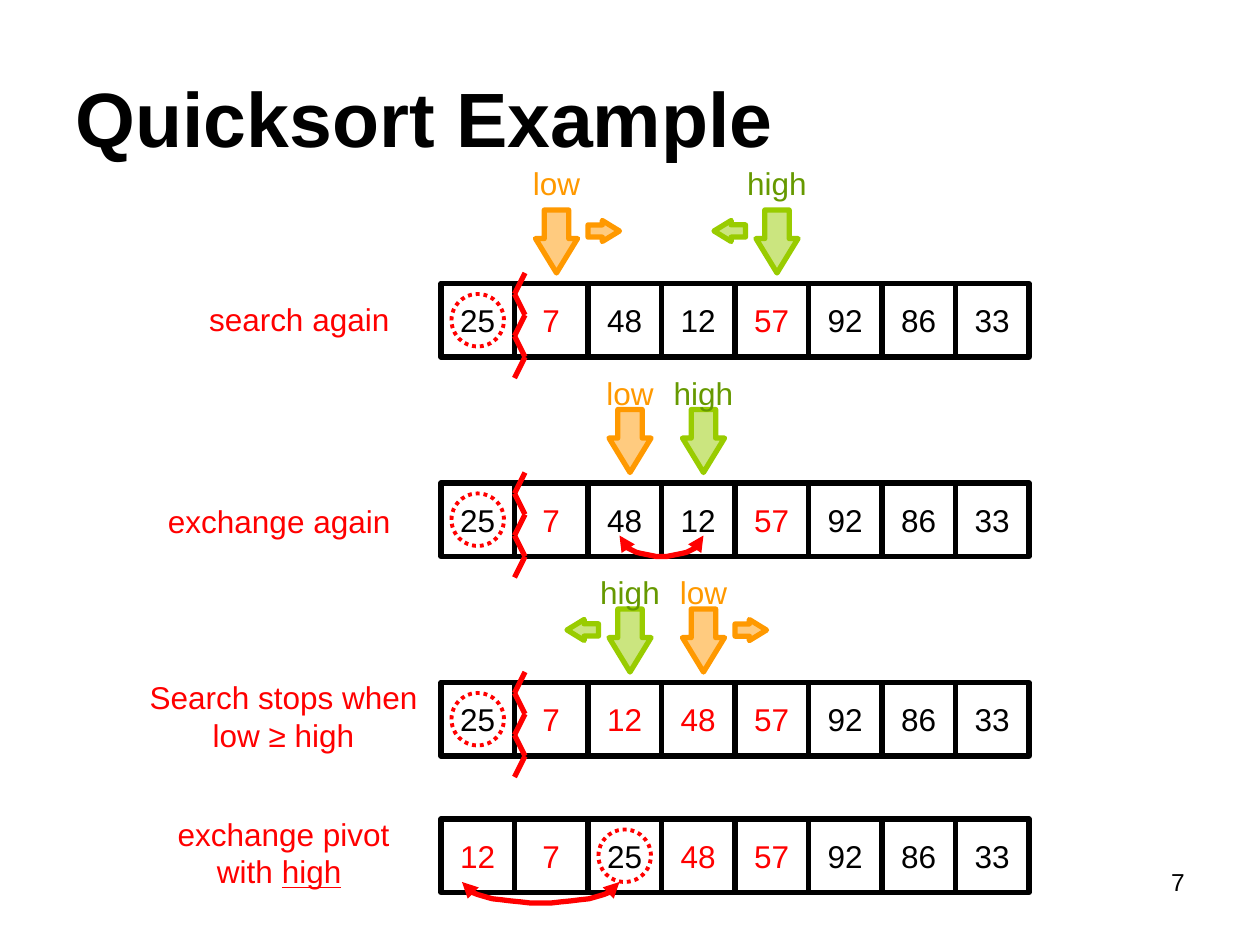
import math
from dataclasses import dataclass

from lxml import etree
from pptx import Presentation
from pptx import util as u
from pptx.dml.color import RGBColor
from pptx.enum import dml, shapes, text
from pptx.oxml.ns import qn

PX = 7620
CELL = 70
ARRAY_LEFT = 420


@dataclass(frozen=True)
class Theme:
    font: str = "Arial"
    ink: str = "000000"
    paper: str = "FFFFFF"
    accent: str = "FF0000"
    low: str = "FF9900"
    high: str = "99CC00"
    high_text: str = "669900"
    title_size: int = 44
    text_size: int = 18
    number_size: int = 14
    line: float = 3
    dotted_line: float = 2.25


THEME = Theme()


def px(*lengths):
    return [u.Emu(length * PX) for length in lengths]


def style_paragraph(paragraph, color, size=THEME.text_size, bold=False,
                    align=text.PP_ALIGN.CENTER):
    paragraph.alignment = align
    font = paragraph.font
    font.name, font.size, font.bold = THEME.font, u.Pt(size), bold
    font.color.rgb = RGBColor.from_string(color)


def style_line(shape, color, width=THEME.line):
    shape.line.color.rgb = RGBColor.from_string(color)
    shape.line.width = u.Pt(width)


def add_text(slide, box, runs, color, **style):
    frame = slide.shapes.add_textbox(*px(*box)).text_frame
    frame.word_wrap = True
    paragraph = frame.paragraphs[0]
    for words, underlined in runs:
        run = paragraph.add_run()
        run.text = words
        if underlined:
            run.font.underline = True
    style_paragraph(paragraph, color, **style)


def add_cell(slide, left, top, value, color):
    shape = slide.shapes.add_shape(shapes.MSO_SHAPE.RECTANGLE, *px(left, top, CELL, CELL))
    shape.shadow.inherit = False
    shape.fill.solid()
    shape.fill.fore_color.rgb = RGBColor.from_string(THEME.paper)
    style_line(shape, THEME.ink)
    frame = shape.text_frame
    frame.word_wrap = False
    frame.vertical_anchor = text.MSO_ANCHOR.MIDDLE
    frame.text = str(value)
    style_paragraph(frame.paragraphs[0], color)


def add_pivot_ring(slide, left, top):
    ring = slide.shapes.add_shape(shapes.MSO_SHAPE.OVAL, *px(left + 10, top + 10, 50, 50))
    ring.shadow.inherit = False
    ring.fill.background()
    style_line(ring, THEME.accent, THEME.dotted_line)
    ring.line.dash_style = dml.MSO_LINE.ROUND_DOT


def add_zigzag(slide, left, top):
    group = slide.shapes.add_group_shape()
    points = [(left + 10 * ((step + 1) % 2), top + 20 * step) for step in range(6)]
    for start, end in zip(points, points[1:]):
        stroke = group.shapes.add_connector(shapes.MSO_CONNECTOR.STRAIGHT, *px(*start, *end))
        style_line(stroke, THEME.accent)
        etree.SubElement(stroke._element.spPr, qn("a:effectLst"))


def add_array(slide, top, values, red, pivot, divided):
    for index, value in enumerate(values):
        color = THEME.accent if value in red else THEME.ink
        add_cell(slide, ARRAY_LEFT + index * CELL, top, value, color)
    add_pivot_ring(slide, ARRAY_LEFT + pivot * CELL, top)
    if divided:
        add_zigzag(slide, ARRAY_LEFT + CELL, top - 10)


def add_block_arrow(slide, box, color, rotation):
    arrow = slide.shapes.add_shape(shapes.MSO_SHAPE.LEFT_ARROW, *px(*box))
    arrow.rotation = rotation
    arrow.adjustments[0], arrow.adjustments[1] = 0.58, 0.82
    arrow.shadow.inherit = False
    arrow.fill.solid()
    arrow.fill.fore_color.rgb = RGBColor.from_string(color)
    solid = arrow._element.spPr.find(qn("a:solidFill"))
    etree.SubElement(solid[0], qn("a:alpha"), val="50000")
    style_line(arrow, color)


def add_marker(slide, name, cell, top, label_gap, moving):
    is_low = name == "low"
    color = THEME.low if is_low else THEME.high
    left = ARRAY_LEFT + cell * CELL
    add_block_arrow(slide, (left + 10, top - 60, 60, 40), color, 270)
    if moving:
        step_left = left + CELL if is_low else left - 20
        add_block_arrow(slide, (step_left, top - 60, 30, 20), color, 180 if is_low else 0)
    label_color = THEME.low if is_low else THEME.high_text
    add_text(slide, (left - 40, top - label_gap, 160, 48), [(name, False)], label_color)


def add_swap_curve(slide, left, top, width, height, steps=24):
    points = [(left + width / 2 * (1 - math.cos(math.pi * step / steps)),
               top + height * math.sin(math.pi * step / steps))
              for step in range(steps + 1)]
    builder = slide.shapes.build_freeform(*points[0], scale=PX)
    builder.add_line_segments(points[1:], close=False)
    curve = builder.convert_to_shape()
    curve.shadow.inherit = False
    curve.fill.background()
    style_line(curve, THEME.accent)
    for end in ("a:headEnd", "a:tailEnd"):
        etree.SubElement(curve.line._ln, qn(end), type="triangle")


def add_title(slide, box):
    title = slide.shapes.title
    title.left, title.top, title.width, title.height = px(*box)
    title.text_frame.text = "Quicksort Example"
    title.text_frame.vertical_anchor = text.MSO_ANCHOR.MIDDLE
    style_paragraph(title.text_frame.paragraphs[0], THEME.ink, size=THEME.title_size,
                    bold=True, align=text.PP_ALIGN.LEFT)


def add_stage(slide, top, caption_box, caption, values, red, pivot=0, divided=True,
              markers=(), label_gap=110, moving=False, swap=None):
    add_array(slide, top, values, red, pivot, divided)
    left, offset, width, height = caption_box
    add_text(slide, (left, top + offset, width, height), caption, THEME.accent)
    for name, cell in markers:
        add_marker(slide, name, cell, top, label_gap, moving)
    if swap:
        curve_left, curve_offset, curve_width = swap
        add_swap_curve(slide, ARRAY_LEFT + curve_left, top + curve_offset, curve_width, 20)


def main():
    presentation = Presentation()
    presentation.slide_width, presentation.slide_height = px(1200, 900)
    slide = presentation.slides.add_slide(presentation.slide_layouts[5])
    add_title(slide, (60, 36, 1080, 150))

    before = [25, 7, 48, 12, 57, 92, 86, 33]
    after = [25, 7, 12, 48, 57, 92, 86, 33]
    final = [12, 7, 25, 48, 57, 92, 86, 33]
    add_stage(slide, 270, (160, 10, 250, 48), [("search again", False)], before, {7, 57},
              markers=[("low", 1), ("high", 4)], label_gap=120, moving=True)
    add_stage(slide, 460, (130, 12, 280, 48), [("exchange again ", False)], before, {7, 57},
              markers=[("low", 2), ("high", 3)], swap=(170, 50, 80))
    add_stage(slide, 650, (130, -10, 280, 84), [("Search stops when low ≥ high", False)],
              after, {7, 12, 48, 57}, markers=[("high", 2), ("low", 3)], moving=True)
    add_stage(slide, 780, (130, -10, 280, 84),
              [("exchange pivot with ", False), ("high", True), (" ", False)],
              final, {7, 12, 48, 57}, pivot=2, divided=False, swap=(20, 60, 150))

    add_text(slide, (860, 820, 280, 62), [("7", False)], THEME.ink,
             size=THEME.number_size, align=text.PP_ALIGN.RIGHT)
    presentation.save("out.pptx")


if __name__ == "__main__":
    main()
